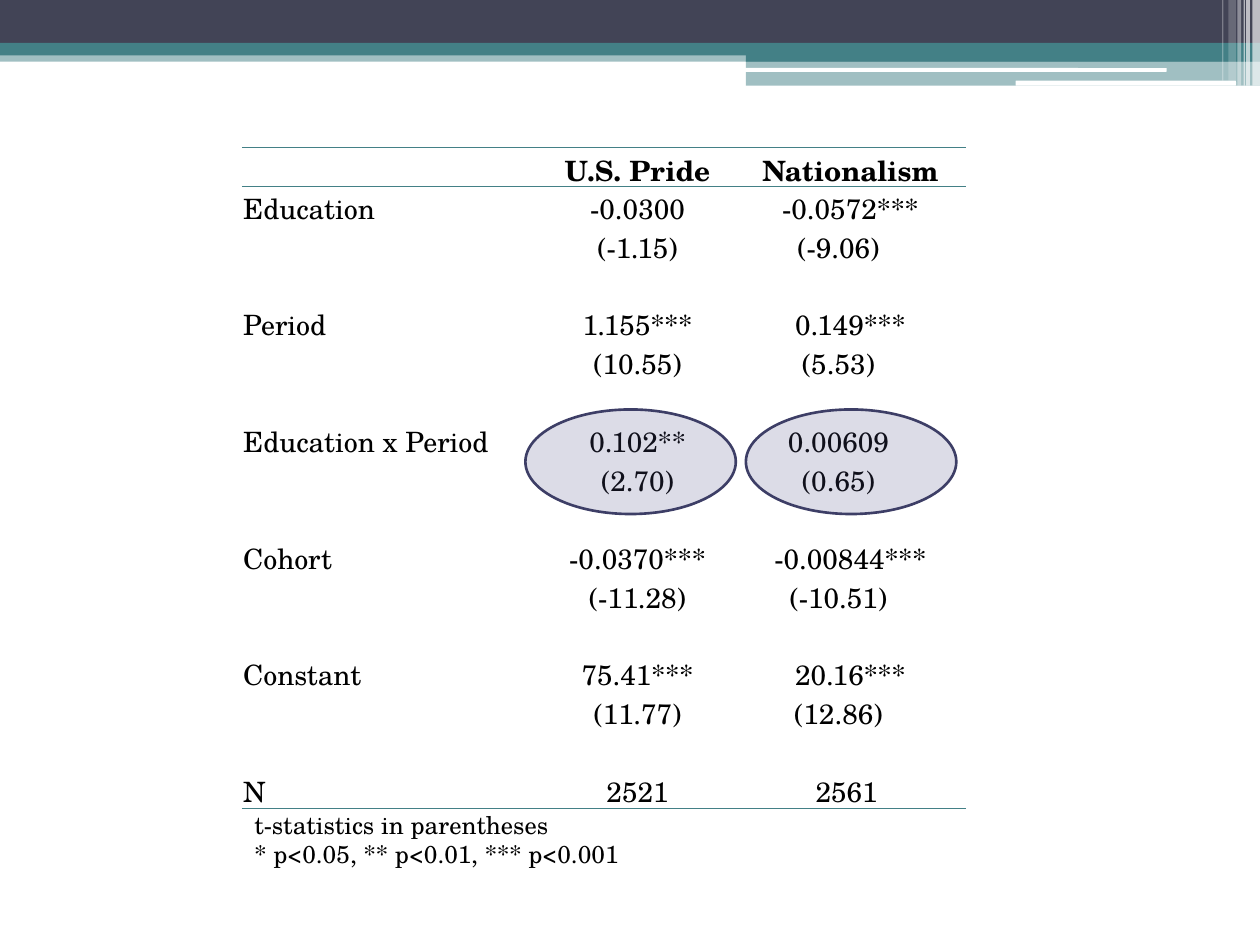
from typing import NamedTuple, Optional

from lxml.etree import SubElement
from pptx import Presentation
from pptx.dml.color import RGBColor
from pptx.enum.shapes import MSO_SHAPE
from pptx.enum.text import MSO_ANCHOR, PP_ALIGN
from pptx.oxml.ns import qn
from pptx.util import Inches, Pt

FONT = "TeX Gyre Schola"
COLORS = {
    "teal": "438086",
    "slate": "424456",
    "white": "FFFFFF",
    "black": "000000",
    "violet": "53548A",
    "violet_edge": "3D3E66",
}
NO_STYLE_NO_GRID = "{2D5ABB26-0587-4C30-8999-92F81FD0307C}"


class Block(NamedTuple):
    left: float
    top: float
    width: float
    height: float
    color: str
    opacity: int = 100
    geometry: MSO_SHAPE = MSO_SHAPE.RECTANGLE
    edge: Optional[str] = None


class Estimate(NamedTuple):
    label: str
    pride: str
    pride_t: str
    nationalism: str
    nationalism_t: str


class Stripe(NamedTuple):
    left: float
    width: float
    height: float
    opacity: int


BANNER = [
    Block(0, 0.4, 10, 0.09, "teal", 50),
    Block(0, 0, 10, 0.34, "slate"),
    Block(0, 0.34, 10, 0.1, "teal"),
    Block(5.92, 0.39, 4.08, 0.1, "teal"),
    Block(5.92, 0.48, 4.08, 0.2, "teal", 50),
    Block(5.91, 0.54, 3.35, 0.03, "white", geometry=MSO_SHAPE.ROUNDED_RECTANGLE),
    Block(8.06, 0.64, 1.75, 0.04, "white", geometry=MSO_SHAPE.ROUNDED_RECTANGLE),
]
STRIPES = [
    Stripe(9.94, 0.06, 0.68, 65),
    Stripe(9.89, 0.03, 0.68, 65),
    Stripe(9.87, 0.01, 0.68, 60),
    Stripe(9.82, 0.03, 0.68, 40),
    Stripe(9.75, 0.06, 0.64, 20),
    Stripe(9.7, 0.01, 0.64, 30),
]
ESTIMATES = [
    Estimate("Education", "-0.0300", "(-1.15)", "-0.0572***", "(-9.06)"),
    Estimate("Period", "1.155***", "(10.55)", "0.149***", "(5.53)"),
    Estimate("Education x Period", "0.102**", "(2.70)", "0.00609", "(0.65)"),
    Estimate("Cohort", "-0.0370***", "(-11.28)", "-0.00844***", "(-10.51)"),
    Estimate("Constant", "75.41***", "(11.77)", "20.16***", "(12.86)"),
]
HEADINGS = ("", "U.S. Pride", "Nationalism")
SAMPLE_SIZES = ("N", "2521", "2561")
COLUMN_WIDTHS = (2.37, 1.54, 1.84)
TABLE_LEFT, TABLE_TOP, TABLE_HEIGHT = 1.92, 1.17, 5.25
RIGHT_INSETS = {"(": 0.2, "0.00609": 0.2, "2561": 0.07}


def rgb(color: str) -> RGBColor:
    return RGBColor.from_string(COLORS[color])


def draw_block(slide, block: Block) -> None:
    shape = slide.shapes.add_shape(
        block.geometry, Inches(block.left), Inches(block.top),
        Inches(block.width), Inches(block.height))
    shape.shadow.inherit = False
    shape.fill.solid()
    shape.fill.fore_color.rgb = rgb(block.color)
    if block.opacity < 100:
        tint = shape.fill._xPr.find(qn("a:solidFill"))[0]
        SubElement(tint, qn("a:alpha"), val=str(block.opacity * 1000))
    if block.edge:
        shape.line.color.rgb = rgb(block.edge)
        shape.line.width = Pt(1.5)
    else:
        shape.line.fill.background()


def format_text(paragraph, size: float, bold: bool = False) -> None:
    for run in paragraph.runs:
        run.font.name = FONT
        run.font.size = Pt(size)
        run.font.bold = bold
        run.font.color.rgb = rgb("black")


def add_rule(cell, side: str, position: int) -> None:
    properties = cell._tc.get_or_add_tcPr()
    rule = SubElement(properties, qn(f"a:{side}"), w=str(Pt(1)))
    solid = SubElement(rule, qn("a:solidFill"))
    SubElement(solid, qn("a:srgbClr"), val=COLORS["teal"])
    properties.insert(position, rule)


def right_inset(text: str, column: int) -> float:
    if column < 2:
        return 0.01
    return next((inset for start, inset in RIGHT_INSETS.items()
                 if text.startswith(start)), 0.01)


def fill_cell(cell, text: str, column: int, bold: bool) -> None:
    cell.fill.background()
    cell.vertical_anchor = MSO_ANCHOR.BOTTOM
    cell.margin_left = cell.margin_top = Inches(0.01)
    cell.margin_right = Inches(right_inset(text, column))
    cell.margin_bottom = 0
    paragraph = cell.text_frame.paragraphs[0]
    paragraph.alignment = PP_ALIGN.CENTER if column else PP_ALIGN.LEFT
    if text:
        paragraph.text = text
        format_text(paragraph, 16, bold)
    else:
        SubElement(paragraph._p, qn("a:endParaRPr"), sz="1600")


def table_rows() -> list[tuple[str, str, str]]:
    rows = [HEADINGS]
    for estimate in ESTIMATES:
        rows += [
            (estimate.label, estimate.pride, estimate.nationalism),
            ("", estimate.pride_t, estimate.nationalism_t),
            ("", "", ""),
        ]
    return rows + [SAMPLE_SIZES]


def draw_regression_table(slide) -> None:
    rows = table_rows()
    last = len(rows) - 1
    table = slide.shapes.add_table(
        len(rows), len(COLUMN_WIDTHS), Inches(TABLE_LEFT), Inches(TABLE_TOP),
        Inches(sum(COLUMN_WIDTHS)), Inches(TABLE_HEIGHT)).table
    table.first_row = table.horz_banding = False
    table._tbl.tblPr.find(qn("a:tableStyleId")).text = NO_STYLE_NO_GRID
    for column, width in zip(table.columns, COLUMN_WIDTHS):
        column.width = Inches(width)
    for row, texts in enumerate(rows):
        for column, text in enumerate(texts):
            cell = table.cell(row, column)
            fill_cell(cell, text, column, bold=row == 0)
            if row in (0, last):
                add_rule(cell, "lnB", 0)
            if row == 0:
                add_rule(cell, "lnT", 0)


def draw_footnote(slide) -> None:
    footnote = slide.shapes.add_textbox(
        Inches(TABLE_LEFT), Inches(6.38), Inches(4.83), Inches(0.88)).text_frame
    footnote.word_wrap = True
    footnote.text = "t-statistics in parentheses\n* p<0.05, ** p<0.01, *** p<0.001"
    for paragraph in footnote.paragraphs:
        format_text(paragraph, 14)


def main() -> None:
    presentation = Presentation()
    presentation.slide_width = Inches(10)
    presentation.slide_height = Inches(7.5)
    slide = presentation.slides.add_slide(presentation.slide_layouts[6])
    for block in BANNER:
        draw_block(slide, block)
    for stripe in STRIPES:
        draw_block(slide, Block(stripe.left, 0, stripe.width, stripe.height,
                                "white", stripe.opacity))
    draw_footnote(slide)
    draw_regression_table(slide)
    for left in (4.17, 5.92):
        draw_block(slide, Block(left, 3.25, 1.67, 0.83, "violet", 20,
                                MSO_SHAPE.OVAL, "violet_edge"))
    presentation.save("out.pptx")


if __name__ == "__main__":
    main()
